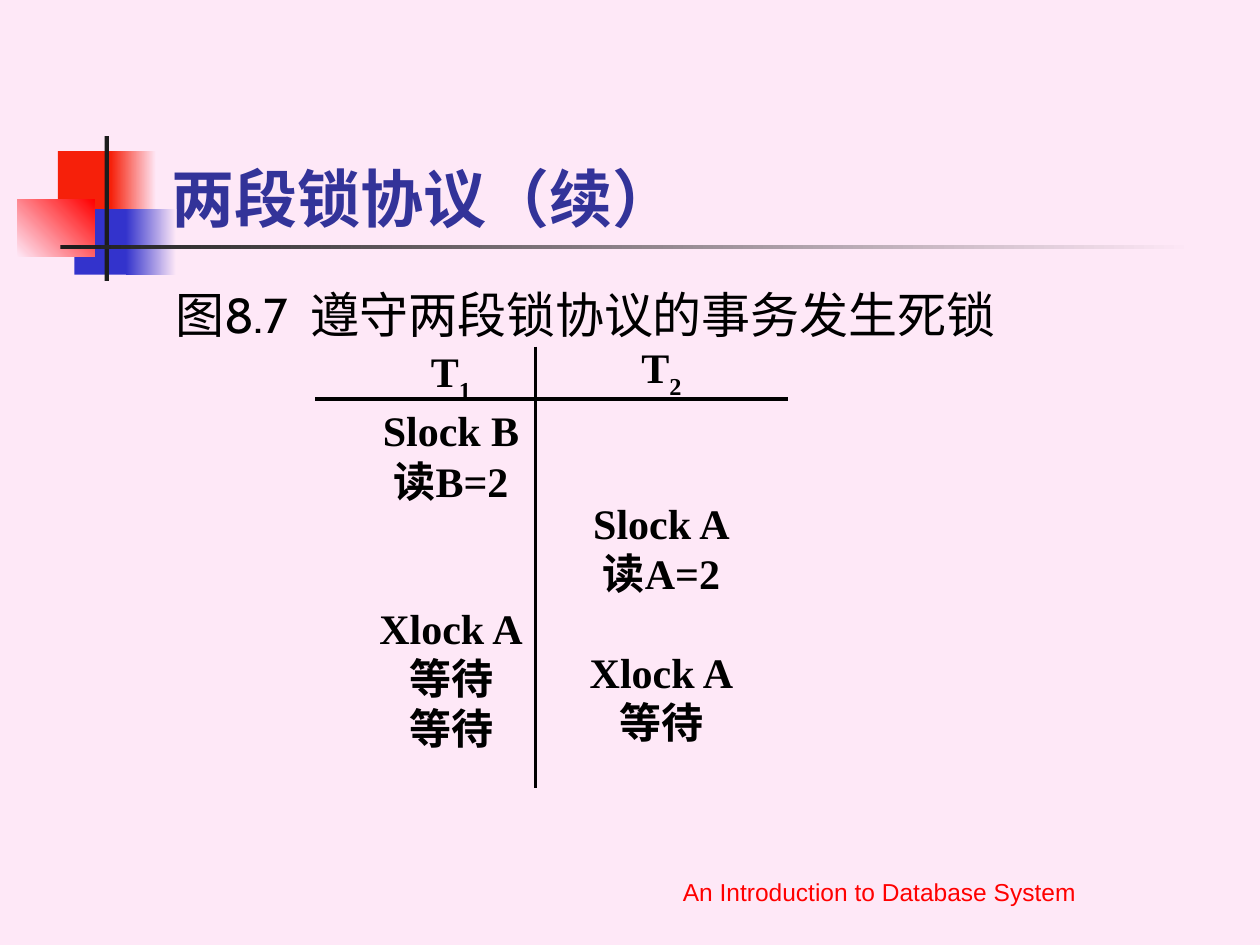
from dataclasses import dataclass
from typing import NamedTuple

from lxml import etree
from pptx import Presentation, util as u
from pptx.dml.color import RGBColor
from pptx.enum import shapes, text
from pptx.oxml.ns import qn

COLUMNS, ROWS = 40, 30
SLIDE_WIDTH, SLIDE_HEIGHT = u.Inches(10), u.Inches(7.5)


@dataclass(frozen=True)
class Theme:
    background: str = "FEE8F7"
    scarlet: str = "F6200A"
    red: str = "FF0000"
    blue: str = "3333CC"
    ink: str = "1C1C1C"
    title: str = "333399"
    black: str = "000000"
    title_size: float = 36
    caption_size: float = 28
    step_size: float = 24
    footer_size: float = 14
    step_line: float = 27.6
    rule_width: float = 2.25
    heading_font: str = "Cabin"
    step_font: str = "Times New Roman"
    footer_font: str = "Arial"


THEME = Theme()


class Area(NamedTuple):
    """Left, top, width and height in grid columns and rows."""
    left: float
    top: float
    width: float
    height: float


class Block(NamedTuple):
    area: Area
    colour: str
    fade_to: str = ""
    angle: float = 0


class Step(NamedTuple):
    words: str
    subscript: str = ""
    lines_skipped: int = 0


class Transaction(NamedTuple):
    area: Area
    steps: list[Step]


ORNAMENT = [
    Block(Area(1.84, 4.8, 1.92, 2.08), THEME.scarlet),
    Block(Area(3.52, 4.8, 1.44, 2.08), THEME.scarlet, THEME.background),
    Block(Area(2.36, 6.64, 1.84, 2.08), THEME.blue),
    Block(Area(4, 6.64, 1.6, 2.08), THEME.blue, THEME.background),
    Block(Area(0.56, 6.32, 2.44, 1.84), THEME.background, THEME.red, 45),
    Block(Area(3.32, 4.32, 0.14, 4.6), THEME.ink),
    Block(Area(1.92, 7.78, 36, 0.14), THEME.ink, THEME.background),
]

TRANSACTIONS = [
    Transaction(Area(11.64, 10.76, 5.36, 13.5), [
        Step("T", "1"), Step("Slock B"), Step("读B=2"),
        Step("Xlock A", lines_skipped=2), Step("等待"), Step("等待")]),
    Transaction(Area(18.32, 10.64, 5.36, 13.5), [
        Step("T", "2"), Step("Slock A", lines_skipped=2), Step("读A=2"),
        Step("Xlock A", lines_skipped=1), Step("等待")]),
]

# Ends of the table rules: from column, from row, to column, to row
RULES = [(10, 12.68, 25, 12.68), (17, 11, 17, 25)]


def across(columns: float) -> int:
    return round(SLIDE_WIDTH * columns / COLUMNS)


def down(rows: float) -> int:
    return round(SLIDE_HEIGHT * rows / ROWS)


def place(area: Area) -> tuple[int, int, int, int]:
    return across(area.left), down(area.top), across(area.width), down(area.height)


def apply(target, **values) -> None:
    for name, value in values.items():
        setattr(target, name, value)


def add_run(paragraph, words: str, font: str, size: float, colour: str, bold: bool = False):
    run = paragraph.add_run()
    run.text = words
    apply(run.font, name=font, size=u.Pt(size), bold=bold)
    run.font.color.rgb = RGBColor.from_string(colour)
    return run


def add_block(slide, block: Block) -> None:
    shape = slide.shapes.add_shape(shapes.MSO_SHAPE.RECTANGLE, *place(block.area))
    shape.shadow.inherit = False
    shape.line.fill.background()
    if block.fade_to:
        shape.fill.gradient()
        shape.fill.gradient_angle = block.angle
        for stop, colour in zip(shape.fill.gradient_stops, (block.colour, block.fade_to)):
            stop.color.rgb = RGBColor.from_string(colour)
    else:
        shape.fill.solid()
        shape.fill.fore_color.rgb = RGBColor.from_string(block.colour)


def fill_placeholder(placeholder, area: Area, anchor, **run_format):
    """Move a placeholder, write its single line and return the paragraph."""
    left, top, width, height = place(area)
    apply(placeholder, left=left, top=top, width=width, height=height)
    frame = placeholder.text_frame
    apply(frame, vertical_anchor=anchor, word_wrap=True, auto_size=text.MSO_AUTO_SIZE.NONE)
    paragraph = frame.paragraphs[0]
    paragraph.alignment = text.PP_ALIGN.LEFT
    add_run(paragraph, font=THEME.heading_font, **run_format)
    return paragraph


def hang_without_bullet(paragraph, indent: int) -> None:
    properties = paragraph._p.get_or_add_pPr()
    properties.set("marL", str(indent))
    properties.set("indent", str(-indent))
    etree.SubElement(properties, qn("a:buNone"))


def add_transaction(slide, transaction: Transaction) -> None:
    frame = slide.shapes.add_textbox(*place(transaction.area)).text_frame
    apply(frame, word_wrap=False, vertical_anchor=text.MSO_ANCHOR.TOP)
    style = dict(font=THEME.step_font, size=THEME.step_size, colour=THEME.black, bold=True)
    for index, step in enumerate(transaction.steps):
        paragraph = frame.add_paragraph() if index else frame.paragraphs[0]
        apply(paragraph, alignment=text.PP_ALIGN.CENTER,
              space_before=u.Pt(step.lines_skipped * THEME.step_line))
        add_run(paragraph, step.words, **style)
        if step.subscript:
            run = add_run(paragraph, step.subscript, **style)
            run._r.get_or_add_rPr().set("baseline", "-30000")


def add_rule(slide, x1: float, y1: float, x2: float, y2: float) -> None:
    rule = slide.shapes.add_connector(
        shapes.MSO_CONNECTOR.STRAIGHT, across(x1), down(y1), across(x2), down(y2))
    rule.line.width = u.Pt(THEME.rule_width)
    rule.line.color.rgb = RGBColor.from_string(THEME.black)
    etree.SubElement(rule._element.spPr, qn("a:effectLst"))


def add_footer(slide) -> None:
    frame = slide.shapes.add_textbox(*place(Area(17.48, 26.96, 20.88, 2))).text_frame
    apply(frame, word_wrap=True, vertical_anchor=text.MSO_ANCHOR.BOTTOM)
    paragraph = frame.paragraphs[0]
    paragraph.alignment = text.PP_ALIGN.CENTER
    add_run(paragraph, "An Introduction to Database System",
            THEME.footer_font, THEME.footer_size, THEME.red)


def main() -> None:
    deck = Presentation()
    apply(deck, slide_width=SLIDE_WIDTH, slide_height=SLIDE_HEIGHT)
    slide = deck.slides.add_slide(deck.slide_layouts[1])
    slide.background.fill.solid()
    slide.background.fill.fore_color.rgb = RGBColor.from_string(THEME.background)

    for block in ORNAMENT:
        add_block(slide, block)
    add_footer(slide)
    fill_placeholder(
        slide.shapes.title, Area(5.04, 2.68, 34.08, 5), text.MSO_ANCHOR.BOTTOM,
        words="两段锁协议（续）", size=THEME.title_size, colour=THEME.title, bold=True)
    caption = fill_placeholder(
        slide.placeholders[1], Area(5.16, 8.84, 34, 18), text.MSO_ANCHOR.TOP,
        words="图8.7  遵守两段锁协议的事务发生死锁", size=THEME.caption_size, colour=THEME.black)
    caption.space_before = u.Pt(7)
    hang_without_bullet(caption, across(1.52))
    for transaction in TRANSACTIONS:
        add_transaction(slide, transaction)
    for rule in RULES:
        add_rule(slide, *rule)
    deck.save("out.pptx")


if __name__ == "__main__":
    main()
